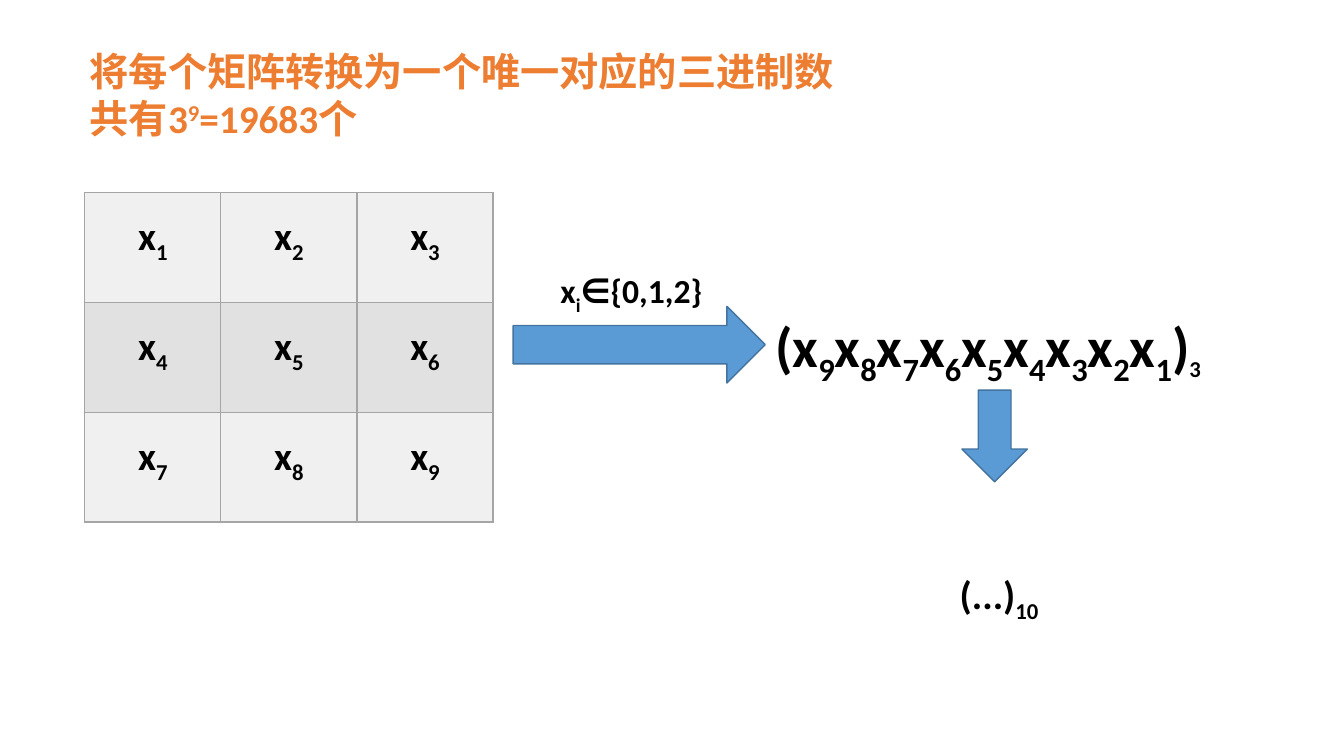
from lxml import etree
from pptx import Presentation
from pptx.dml.color import RGBColor
from pptx.enum.shapes import MSO_SHAPE
from pptx.enum.text import MSO_ANCHOR, MSO_AUTO_SIZE, PP_ALIGN
from pptx.oxml.ns import qn
from pptx.util import Inches, Pt

COLORS = {"title": "ED7D31", "text": "000000", "arrow": "5B9BD5",
          "arrow_line": "43739E", "border": "A5A5A5",
          "light": "F0F0F0", "dark": "E1E1E1"}
SUB, SUPER = -25, 30


def add_runs(p, parts, size, color="text"):
    """Add bold runs; each part is (text, baseline shift in percent)."""
    for text, shift in parts:
        r = p.add_run()
        r.text = text
        r.font.name = "Calibri"
        r.font.size = Pt(size)
        r.font.bold = True
        r.font.color.rgb = RGBColor.from_string(COLORS[color])
        if shift:
            r._r.get_or_add_rPr().set("baseline", str(shift * 1000))


def set_borders(cell):
    tcPr = cell._tc.get_or_add_tcPr()
    for i, side in enumerate(("lnL", "lnR", "lnT", "lnB")):
        ln = etree.Element(qn(f"a:{side}"), w=str(Pt(1)))
        fill = etree.SubElement(ln, qn("a:solidFill"))
        etree.SubElement(fill, qn("a:srgbClr"), val=COLORS["border"])
        tcPr.insert(i, ln)


prs = Presentation()
prs.slide_width, prs.slide_height = Inches(13.33), Inches(7.5)
slide = prs.slides.add_slide(prs.slide_layouts[5])

# Title
title = slide.shapes.title
title.left, title.top = Inches(0.79), Inches(0.42)
title.width, title.height = Inches(9.27), Inches(1.02)
tf = title.text_frame
tf.word_wrap = True
tf.auto_size = MSO_AUTO_SIZE.NONE
tf.vertical_anchor = MSO_ANCHOR.TOP
title_lines = [[("将每个矩阵转换为一个唯一对应的三进制数", 0)],
               [("共有3", 0), ("9", SUPER), ("=19683个", 0)]]
for i, parts in enumerate(title_lines):
    p = tf.paragraphs[0] if i == 0 else tf.add_paragraph()
    p.alignment = PP_ALIGN.LEFT
    add_runs(p, parts, 28, "title")

# 3 x 3 matrix
matrix = slide.shapes.add_table(3, 3, Inches(0.84), Inches(1.91),
                                Inches(4.05), Inches(3.27)).table
for col in matrix.columns:
    col.width = Inches(1.35)
for i, row in enumerate(matrix.rows):
    row.height = Inches(1.09)
    for j, cell in enumerate(row.cells):
        cell.fill.solid()
        cell.fill.fore_color.rgb = RGBColor.from_string(
            COLORS["dark" if i == 1 else "light"])
        set_borders(cell)
        p = cell.text_frame.paragraphs[0]
        p.alignment = PP_ALIGN.CENTER
        p.line_spacing = 1.3
        add_runs(p, [("x", 0), (str(3 * i + j + 1), SUB)], 28)

# Arrows
for kind, left, top, width, height in [
        (MSO_SHAPE.RIGHT_ARROW, 5.09, 3.04, 2.5, 0.76),
        (MSO_SHAPE.DOWN_ARROW, 9.54, 3.87, 0.65, 0.91)]:
    sp = slide.shapes.add_shape(kind, Inches(left), Inches(top),
                                Inches(width), Inches(height))
    sp.shadow.inherit = False
    sp.fill.solid()
    sp.fill.fore_color.rgb = RGBColor.from_string(COLORS["arrow"])
    sp.line.color.rgb = RGBColor.from_string(COLORS["arrow_line"])
    sp.line.width = Pt(1)

# Digit range, ternary number and decimal number
ternary = [("(", 0)]
for n in range(9, 0, -1):
    ternary += [("x", 0), (str(n), SUB)]
ternary.append((")", 0))

for left, top, width, height, groups in [
        (5.46, 2.63, 2, 0.6, [([("x", 0), ("i", SUB), ("∈{0,1,2}", 0)], 24)]),
        (7.59, 3.04, 5.44, 0.8, [(ternary, 40), ([("3", SUB)], 28)]),
        (9.42, 5.61, 1.5, 0.6, [([("(...)", 0), ("10", SUB)], 28)])]:
    box = slide.shapes.add_textbox(Inches(left), Inches(top),
                                   Inches(width), Inches(height))
    tf = box.text_frame
    tf.word_wrap = True
    for parts, size in groups:
        add_runs(tf.paragraphs[0], parts, size)

prs.save("out.pptx")
